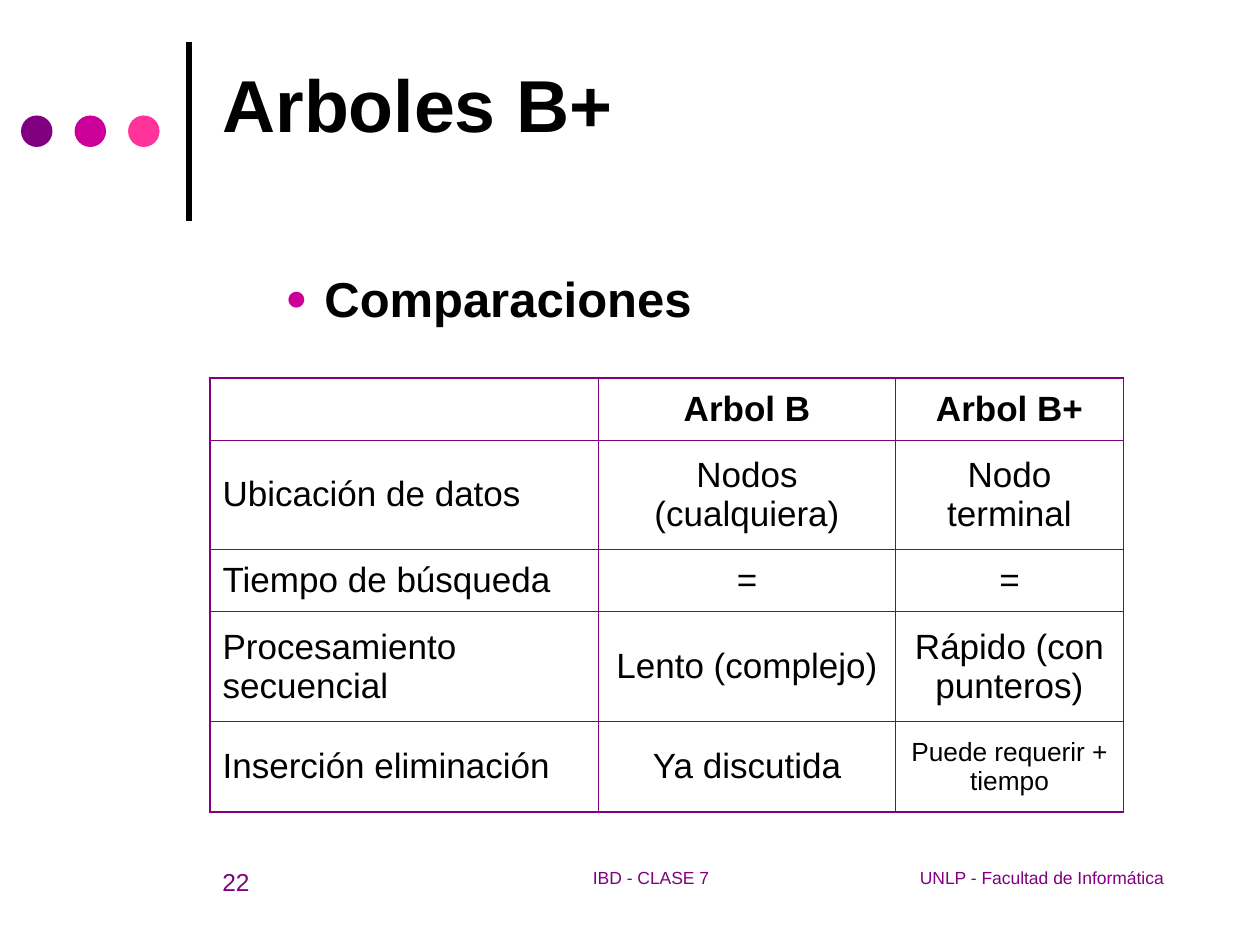
"""Build a slide that compares B trees with B+ trees."""
from dataclasses import dataclass

from lxml import etree
from pptx import Presentation
from pptx.dml.color import RGBColor
from pptx.enum.shapes import MSO_CONNECTOR, MSO_SHAPE
from pptx.enum.text import MSO_ANCHOR, PP_ALIGN
from pptx.oxml.ns import qn
from pptx.util import Inches, Pt

LEFT, MID, RIGHT = PP_ALIGN.LEFT, PP_ALIGN.CENTER, PP_ALIGN.RIGHT
TOP, CENTER = MSO_ANCHOR.TOP, MSO_ANCHOR.MIDDLE
OVAL, LINE = MSO_SHAPE.OVAL, MSO_CONNECTOR.STRAIGHT
WIDE, HIGH = Inches(10), Inches(7.5)
UNIT = WIDE / 24


@dataclass(frozen=True)
class Theme:
    font: str = "Arial"
    ink: str = "000000"
    plum: str = "800080"
    rose: str = "CC0099"
    pink: str = "FF3399"
    title: float = 42
    lead: float = 28
    cell: float = 20
    note: float = 15
    page: float = 14
    foot: float = 10
    thick: float = 1.08
    thin: float = 0.45


@dataclass(frozen=True)
class Label:
    text: str
    x: float
    y: float
    w: float
    h: float
    size: float
    color: str
    bold: bool = False
    align: int = LEFT
    anchor: int = TOP


THEME = Theme()
COLS = (7.4, 5.66, 4.34)
ROWS = (1.18, 2.09, 1.18, 2.09, 1.73)
CELLS = (
    ("", "Arbol B", "Arbol B+"),
    ("Ubicación de datos", "Nodos (cualquiera)", "Nodo terminal"),
    ("Tiempo de búsqueda", "=", "="),
    ("Procesamiento secuencial", "Lento (complejo)", "Rápido (con punteros)"),
    ("Inserción eliminación", "Ya discutida", "Puede requerir + tiempo"),
)
HEAD = Label("Arboles B+", 4, 0.5, 18.4, 2.93, THEME.title, THEME.ink, True, LEFT, CENTER)
LEAD = Label("Comparaciones", 4, 5, 18.4, 10.8, THEME.lead, THEME.ink, True)
FEET = (
    Label("IBD - CLASE 7", 8.6, 16.4, 7.6, 1.2, THEME.foot, THEME.plum, align=MID),
    Label("22", 4, 16.4, 3.4, 1.2, THEME.page, THEME.plum),
    Label("UNLP - Facultad de Informática", 15.97, 16.4, 6.43, 1.2,
          THEME.foot, THEME.plum, align=RIGHT),
)


def grid(*units: float) -> list[int]:
    """Turn grid units into lengths."""
    return [round(unit * UNIT) for unit in units]


def style(para, size: float, color: str, bold: bool, align: int) -> None:
    """Set the font and alignment of a paragraph."""
    font = para.font
    font.name, font.size, font.bold = THEME.font, Pt(size), bold
    font.color.rgb = RGBColor.from_string(color)
    para.alignment = align


def write(slide, label: Label):
    """Add a text box and return its paragraph."""
    box = slide.shapes.add_textbox(*grid(label.x, label.y, label.w, label.h))
    frame = box.text_frame
    frame.word_wrap, frame.vertical_anchor = True, label.anchor
    para = frame.paragraphs[0]
    para.text = label.text
    style(para, label.size, label.color, label.bold, label.align)
    return para


def bullet(para) -> None:
    """Give a paragraph a small round bullet and a hanging indent."""
    para.space_before = Pt(7)
    props = para._p.get_or_add_pPr()
    props.set("marL", str(Inches(0.81)))
    props.set("indent", str(Inches(-0.31)))
    color = etree.SubElement(props, qn("a:buClr"))
    etree.SubElement(color, qn("a:srgbClr"), val=THEME.rose)
    etree.SubElement(props, qn("a:buSzPct"), val="75000")
    etree.SubElement(props, qn("a:buFont"), typeface=THEME.font)
    etree.SubElement(props, qn("a:buChar"), char="●")


def rule(slide) -> None:
    """Draw the upright line beside the title."""
    line = slide.shapes.add_connector(LINE, *grid(3.6, 4.2, 3.6, 0.8))
    line.line.color.rgb = RGBColor.from_string(THEME.ink)
    line.line.width = Pt(3)
    etree.SubElement(line._element.spPr, qn("a:effectLst"))


def dots(slide) -> None:
    """Draw the row of dots, one grid unit apart."""
    for step, color in enumerate((THEME.plum, THEME.rose, THEME.pink)):
        dot = slide.shapes.add_shape(OVAL, *grid(0.4 + step * 1.02, 2.2, 0.6, 0.6))
        dot.shadow.inherit = False
        dot.fill.solid()
        dot.fill.fore_color.rgb = RGBColor.from_string(color)
        dot.line.fill.background()


def border(cell, row: int, col: int) -> None:
    """Line a cell, thicker on the outer edges of the table."""
    props = cell._tc.get_or_add_tcPr()
    edges = {"L": col == 0, "R": col == len(COLS) - 1,
             "T": row == 0, "B": row == len(ROWS) - 1}
    for place, (side, outer) in enumerate(edges.items()):
        width = Pt(THEME.thick if outer else THEME.thin)
        line = etree.Element(qn(f"a:ln{side}"), w=str(width))
        fill = etree.SubElement(line, qn("a:solidFill"))
        etree.SubElement(fill, qn("a:srgbClr"), val=THEME.plum)
        props.insert(place, line)


def table(slide) -> None:
    """Draw the table of comparisons."""
    place = grid(4, 7.2, sum(COLS), sum(ROWS))
    chart = slide.shapes.add_table(len(ROWS), len(COLS), *place).table
    chart.first_row = chart.horz_banding = False
    for col, width in zip(chart.columns, grid(*COLS)):
        col.width = width
    for row, height in zip(chart.rows, grid(*ROWS)):
        row.height = height
    last = len(ROWS) - 1, len(COLS) - 1
    for row, texts in enumerate(CELLS):
        for col, text in enumerate(texts):
            cell = chart.cell(row, col)
            cell.fill.background()
            cell.vertical_anchor = CENTER
            border(cell, row, col)
            para = cell.text_frame.paragraphs[0]
            para.text = text
            size = THEME.note if (row, col) == last else THEME.cell
            style(para, size, THEME.ink, row == 0, MID if col else LEFT)
            para.space_before = Pt(size / 4)


def main() -> None:
    """Build and save the slide."""
    deck = Presentation()
    deck.slide_width, deck.slide_height = WIDE, HIGH
    slide = deck.slides.add_slide(deck.slide_layouts[6])
    rule(slide)
    dots(slide)
    write(slide, HEAD)
    bullet(write(slide, LEAD))
    table(slide)
    for foot in FEET:
        write(slide, foot)
    deck.save("out.pptx")


if __name__ == "__main__":
    main()
